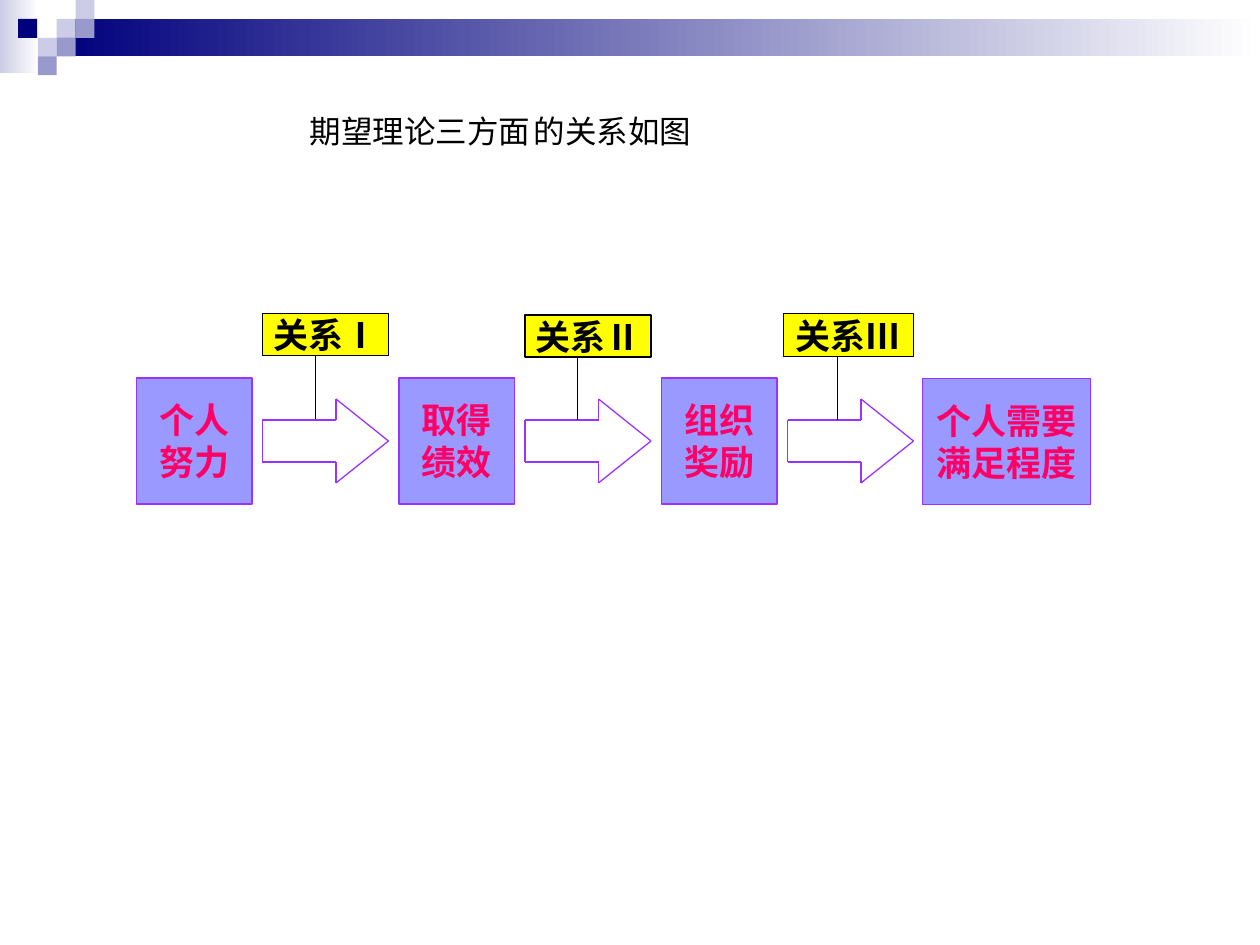
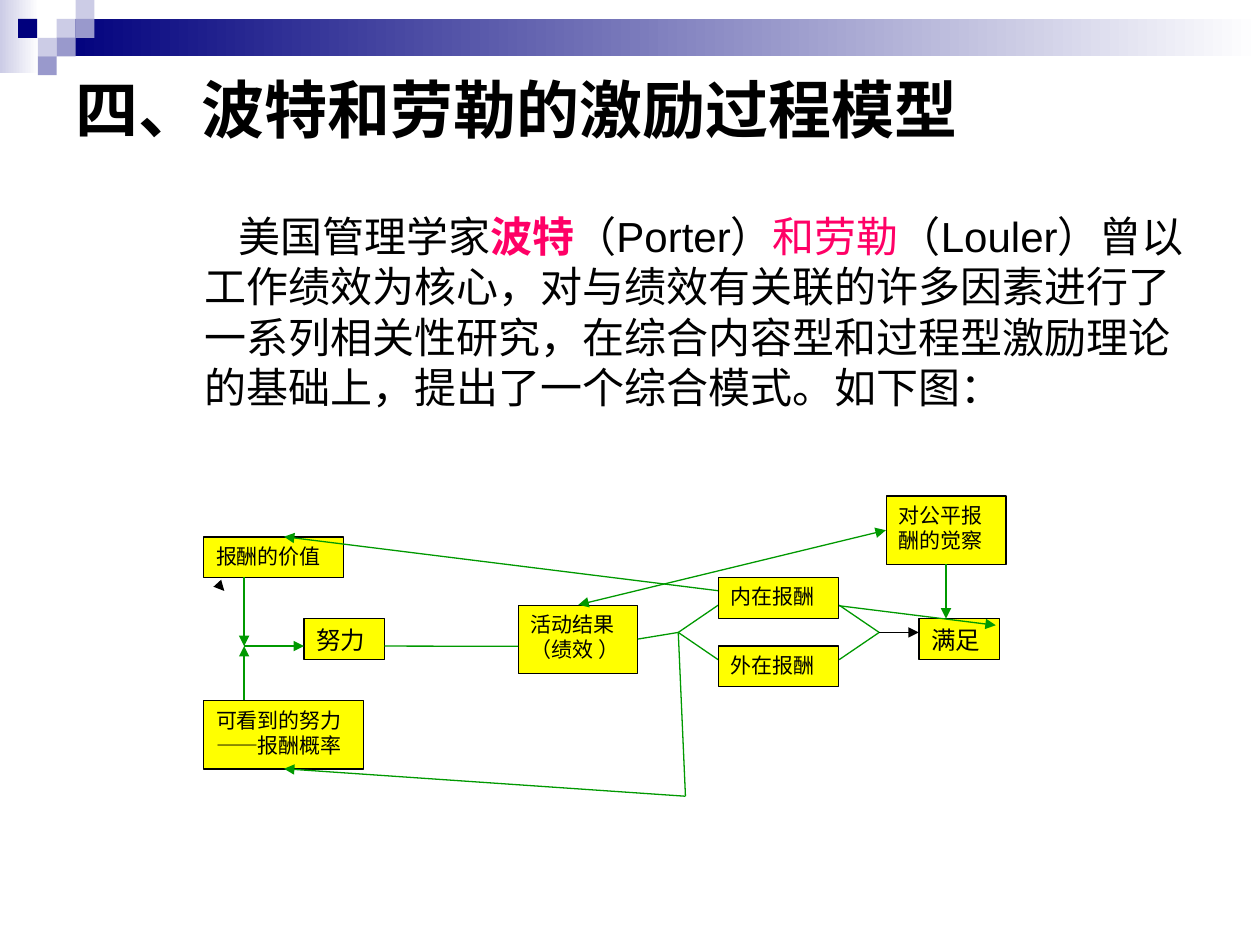
"""Build two slides on the expectancy theory and the Porter-Lawler motivation model."""
import dataclasses
import itertools

import lxml.etree
import pptx
import pptx.dml.color
import pptx.enum.shapes
import pptx.enum.text
import pptx.oxml.ns
import pptx.util

Pt = pptx.util.Pt
qn = pptx.oxml.ns.qn
Shapes = pptx.enum.shapes.MSO_SHAPE
Align = pptx.enum.text.PP_ALIGN
Anchor = pptx.enum.text.MSO_ANCHOR


@dataclasses.dataclass(frozen=True)
class Theme:
    navy: str = "00007D"
    lavender: str = "CCCCE6"
    slate: str = "9999CC"
    white: str = "FFFFFF"
    black: str = "000000"
    pink: str = "FF0066"
    violet: str = "9933FF"
    periwinkle: str = "9999FF"
    yellow: str = "FFFF00"
    green: str = "009900"
    sans: str = "Arial"
    serif: str = "Times New Roman"
    title_size: float = 36
    body_size: float = 24
    step_size: float = 20
    caption_size: float = 18
    node_size: float = 14
    small_size: float = 12
    line_width: float = 0.75


def rgb(color):
    return pptx.dml.color.RGBColor.from_string(color)


class SlideBuilder:
    def __init__(self, deck, theme):
        self.deck = deck
        self.theme = theme
        self.page = None

    def start(self, title=None):
        self.page = self.deck.slides.add_slide(self.deck.slide_layouts[5 if title else 6])
        self.band()
        if title:
            self.title(title)

    def style(self, paragraph, size, font, color=None, bold=False, align=Align.LEFT):
        paragraph.alignment = align
        paragraph.font.size = Pt(size)
        paragraph.font.name = font
        paragraph.font.bold = bold
        if color:
            paragraph.font.color.rgb = rgb(color)

    def title(self, text):
        box = self.page.shapes.title
        box.left, box.top, box.width, box.height = Pt(36), Pt(38.5), Pt(648), Pt(47)
        frame = box.text_frame
        frame.text = text
        frame.auto_size = pptx.enum.text.MSO_AUTO_SIZE.NONE
        frame.vertical_anchor = Anchor.MIDDLE
        self.style(frame.paragraphs[0], self.theme.title_size, self.theme.sans,
                   self.theme.black, bold=True)

    def shape(self, kind, place, fill, line=None):
        box = self.page.shapes.add_shape(kind, *map(Pt, place))
        box.shadow.inherit = False
        if isinstance(fill, tuple):
            box.fill.gradient()
            box.fill.gradient_angle = 0
            for stop, color in zip(box.fill.gradient_stops, fill):
                stop.color.rgb = rgb(color)
        else:
            box.fill.solid()
            box.fill.fore_color.rgb = rgb(fill)
        if line:
            box.line.color.rgb = rgb(line)
            box.line.width = Pt(self.theme.line_width)
        else:
            box.line.fill.background()
        return box

    def band(self):
        theme = self.theme
        self.shape(Shapes.RECTANGLE, (0, 0, 22.3, 41.8), (theme.lavender, theme.white))
        self.shape(Shapes.RECTANGLE, (32.4, 10.8, 687.6, 21.3), (theme.navy, theme.white))
        tiles = [(32.4, 10.8, theme.lavender), (43.2, 0, theme.lavender),
                 (43.2, 10.8, theme.slate), (21.6, 21.6, theme.lavender),
                 (10.4, 10.8, theme.navy), (32.4, 21.5, theme.slate),
                 (21.6, 32.2, theme.slate)]
        for left, top, color in tiles:
            self.shape(Shapes.RECTANGLE, (left, top, 10.8, 10.8), color)

    def label(self, place, lines, fill, line, color, size, kind=Shapes.RECTANGLE,
              bold=False, align=Align.JUSTIFY, anchor=Anchor.TOP, wrap=True):
        frame = self.shape(kind, place, fill, line).text_frame
        frame.word_wrap = wrap
        frame.vertical_anchor = anchor
        frame.text = "\n".join(lines)
        for paragraph in frame.paragraphs:
            self.style(paragraph, size, self.theme.serif, color, bold, align)

    def step(self, place, lines):
        theme = self.theme
        self.label(place, lines, theme.periwinkle, theme.violet, theme.pink,
                   theme.step_size, Shapes.FLOWCHART_PROCESS, True, Align.CENTER,
                   Anchor.MIDDLE, False)

    def tag(self, place, text):
        theme = self.theme
        self.label(place, [text], theme.yellow, theme.black, theme.black,
                   theme.step_size, bold=True, align=Align.CENTER,
                   anchor=Anchor.MIDDLE, wrap=False)

    def node(self, place, lines, size=None):
        theme = self.theme
        self.label(place, lines, theme.yellow, theme.black, theme.black,
                   size or theme.small_size)

    def block_arrow(self, left, top):
        outline = [(0, 12), (42, 12), (42, 0), (72, 24), (42, 48), (42, 36), (0, 36), (0, 12)]
        corners = [(left + x, top + y) for x, y in outline]
        for begin, end in itertools.pairwise(corners):
            self.link(begin, end, self.theme.violet)

    def text(self, place, spans, size, wrap=True, margin=0, indent=0):
        frame = self.page.shapes.add_textbox(*map(Pt, place)).text_frame
        frame.word_wrap = wrap
        paragraph = frame.paragraphs[0]
        properties = paragraph._p.get_or_add_pPr()
        properties.set("marL", str(Pt(margin)))
        properties.set("indent", str(Pt(indent)))
        self.style(paragraph, size, self.theme.sans)
        for words, color, bold in spans:
            span = paragraph.add_run()
            span.text = words
            span.font.color.rgb = rgb(color)
            span.font.bold = bold

    def link(self, begin, end, color, ends=""):
        connector = self.page.shapes.add_connector(
            pptx.enum.shapes.MSO_CONNECTOR.STRAIGHT, *map(Pt, begin + end))
        connector.line.color.rgb = rgb(color)
        connector.line.width = Pt(self.theme.line_width)
        properties = connector.element.spPr
        outline = properties.find(qn("a:ln"))
        for name in ends.split():
            lxml.etree.SubElement(outline, qn(f"a:{name}End")).set("type", "triangle")
        lxml.etree.SubElement(properties, qn("a:effectLst"))


def expectancy_slide(builder):
    theme = builder.theme
    builder.start()
    steps = [("个人", "努力"), ("取得", "绩效"), ("组织", "奖励")]
    pitch = 150
    for index, lines in enumerate(steps):
        left = 78 + index * pitch
        builder.step((left, 216, 66, 72), lines)
        builder.block_arrow(left + 72, 228)
    builder.step((527, 216.3, 96, 72), ("个人需要", "满足程度"))
    tags = [("关系Ⅰ", 150.2, 179.2, 72, 24, 180.3), ("关系Ⅱ", 300, 180, 72, 24, 330),
            ("关系Ⅲ", 447.8, 179.2, 74.2, 24.6, 478.7)]
    for text, left, top, width, height, stem in tags:
        builder.tag((left, top, width, height), text)
        builder.link((stem, top + height), (stem, top + height + 36), theme.black)
    builder.text((298, 60.5, 104.4, 29), [("的关系如图", theme.black, False)],
                 theme.caption_size, wrap=False)
    builder.text((170, 60.5, 238.3, 29), [("期望理论三方面", theme.black, False)],
                 theme.caption_size)


def motivation_slide(builder):
    theme = builder.theme
    builder.start("四、波特和劳勒的激励过程模型")
    builder.text((19.8, 116.8, 664.6, 344.9), [
        ("美国管理学家", theme.black, False),
        ("波特", theme.pink, True),
        ("（Porter）", theme.black, False),
        ("和劳勒", theme.pink, False),
        ("（Louler）曾以工作绩效为核心，对与绩效有关联的许多因素进行了一系列相关性研究，"
         "在综合内容型和过程型激励理论的基础上，提出了一个综合模式。如下图：", theme.black, False),
    ], theme.body_size, margin=90, indent=19.4)

    builder.node((116.4, 306.9, 80, 23.2), ["报酬的价值"])
    builder.node((116.4, 400.5, 91.4, 39), ["可看到的努力", "——报酬概率"])
    builder.node((296.1, 345.9, 68.4, 39), ["活动结果", "（绩效 ）"])
    builder.node((173.7, 353.5, 46, 23.5), ["努力"], theme.node_size)
    builder.node((525.1, 353.5, 46, 23.5), ["满足"], theme.node_size)
    builder.node((506.4, 283.5, 68.4, 39), ["对公平报", "酬的觉察"])

    merge = (139.5, 369.2)
    split = (387.6, 361.4)
    join = (502.4, 361.4)
    turn = (391.7, 455)
    green_links = [
        ((139.5, 330), merge, "tail"),
        ((139.5, 400.3), merge, "tail"),
        ((330.5, 345.6), (506.2, 303), "head tail"),
        ((364.5, 365.2), split, ""),
        (merge, (173.7, 369.2), "tail"),
        ((219.7, 369.2), (296.1, 369.3), ""),
        ((162.3, 306.7), (569, 357.3), "head tail"),
        (join, (479.5, 345.8), ""),
        (join, (479.5, 377), ""),
        ((410.4, 345.8), split, ""),
        ((410.4, 377), split, ""),
        ((540.6, 322.5), (540.6, 353.5), "tail"),
        (split, turn, ""),
        (turn, (162.3, 439.3), "tail"),
    ]
    for begin, end, ends in green_links:
        builder.link(begin, end, theme.green, ends)
    builder.link((127.9, 337.4), (128.2, 337.7), theme.black, "tail")
    builder.link(join, (525, 361.4), theme.black, "tail")

    for top, text in [(330.2, "内在报酬"), (369.2, "外在报酬")]:
        builder.node((410.4, top, 68.8, 23.2), [text])


def main():
    deck = pptx.Presentation()
    deck.slide_width, deck.slide_height = Pt(720), Pt(540)
    builder = SlideBuilder(deck, Theme())
    expectancy_slide(builder)
    motivation_slide(builder)
    deck.save("out.pptx")


if __name__ == "__main__":
    main()
